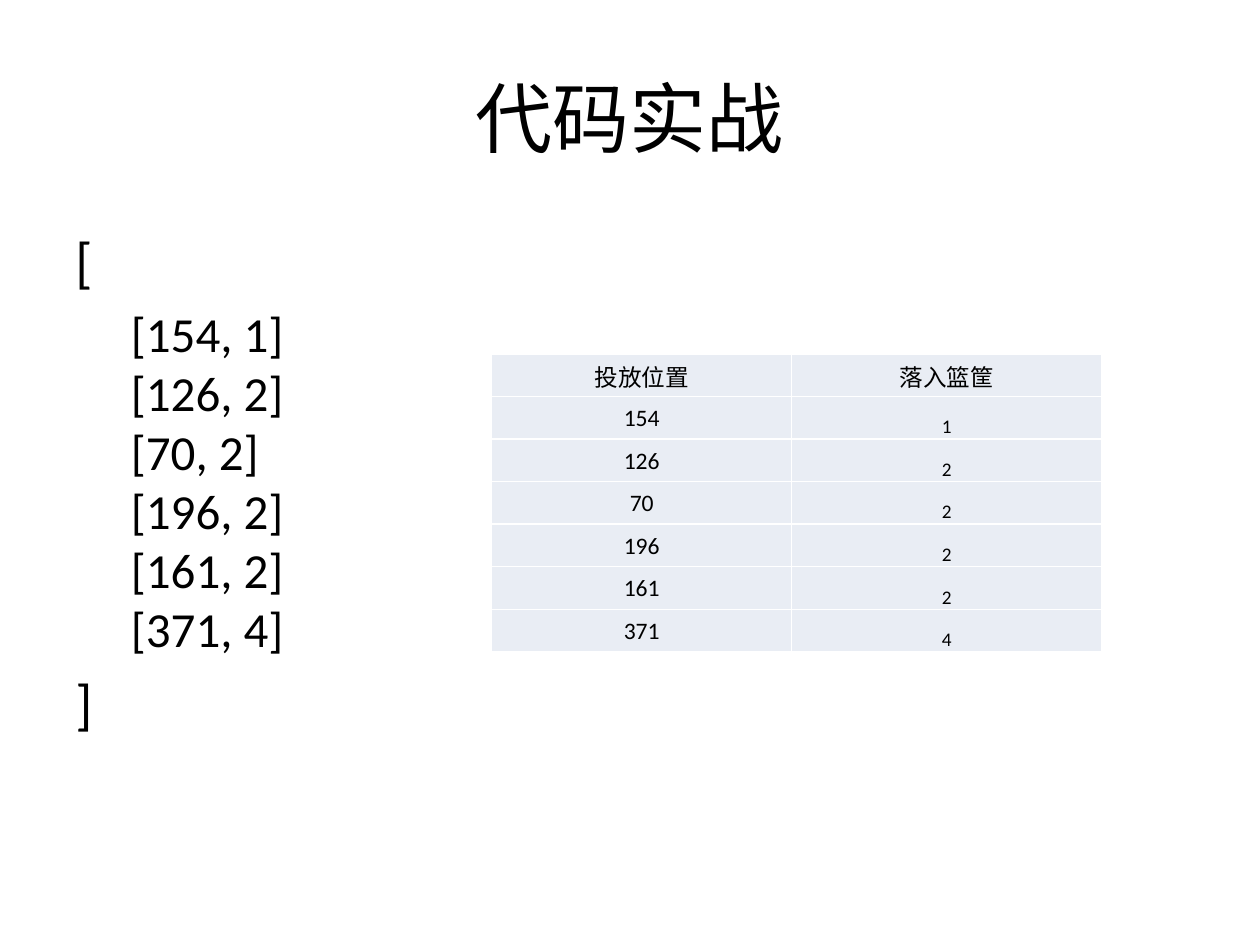
from lxml.etree import SubElement
from pptx import Presentation
from pptx.dml.color import RGBColor
from pptx.enum.text import MSO_ANCHOR, PP_ALIGN
from pptx.oxml.ns import qn
from pptx.util import Cm, Pt

COLORS = {"text": "000000", "cell": "E9EDF4", "border": "FFFFFF"}
FONT = "Calibri"
HEADINGS = ("投放位置", "落入篮筐")
DROPS = [(154, 1), (126, 2), (70, 2), (196, 2), (161, 2), (371, 4)]


def add_run(para, text, size):
    """Add one styled run to a paragraph."""
    span = para.add_run()
    span.text = text
    span.font.size = Pt(size)
    span.font.name = FONT
    span.font.color.rgb = RGBColor.from_string(COLORS["text"])


def add_text_frame(page, left, top, width, height):
    """Add a wrapping text box and return its text frame."""
    box = page.shapes.add_textbox(Cm(left), Cm(top), Cm(width), Cm(height))
    box.text_frame.word_wrap = True
    return box.text_frame


def add_title(page, left, top, width, height):
    """Place the centred slide title."""
    frame = add_text_frame(page, left, top, width, height)
    frame.vertical_anchor = MSO_ANCHOR.MIDDLE
    para = frame.paragraphs[0]
    para.alignment = PP_ALIGN.CENTER
    add_run(para, "代码实战", 44)


def add_listing(page, left, top, width, height):
    """Place the drops as a bracketed list of pairs."""
    frame = add_text_frame(page, left, top, width, height)
    add_run(frame.paragraphs[0], "[", 32)
    pairs = frame.add_paragraph()
    pairs.space_before = Pt(5.6)
    pairs.level = 1
    properties = pairs._p.get_or_add_pPr()
    properties.set("marL", str(Cm(1.12)))
    properties.set("indent", "0")
    for index, (position, basket) in enumerate(DROPS):
        if index:
            pairs.add_line_break()
        add_run(pairs, f"[{position}, {basket}]", 28)
    closing = frame.add_paragraph()
    closing.space_before = Pt(6.4)
    add_run(closing, "]", 32)


def style_cell(cell):
    """Give a cell its borders, fill and narrow margins."""
    properties = cell._tc.get_or_add_tcPr()
    for side in ("a:lnL", "a:lnR", "a:lnT", "a:lnB"):
        line = SubElement(properties, qn(side), w=str(Pt(1)))
        fill = SubElement(line, qn("a:solidFill"))
        SubElement(fill, qn("a:srgbClr"), val=COLORS["border"])
    cell.fill.solid()
    cell.fill.fore_color.rgb = RGBColor.from_string(COLORS["cell"])
    cell.margin_left = cell.margin_right = cell.margin_top = Cm(0.03)
    cell.margin_bottom = 0


def add_drop_table(page, left, top, width, height):
    """Place the table of drop positions and baskets."""
    rows = [HEADINGS, *DROPS]
    table = page.shapes.add_table(
        len(rows), len(HEADINGS), Cm(left), Cm(top), Cm(width), Cm(height)
    ).table
    table.first_row = table.horz_banding = False
    table.columns[0].width = Cm(6.05)
    table.columns[1].width = Cm(width - 6.05)
    for row_index, values in enumerate(rows):
        for column_index, value in enumerate(values):
            cell = table.cell(row_index, column_index)
            style_cell(cell)
            is_basket = row_index > 0 and column_index == 1
            cell.vertical_anchor = MSO_ANCHOR.BOTTOM if is_basket else MSO_ANCHOR.MIDDLE
            para = cell.text_frame.paragraphs[0]
            para.alignment = PP_ALIGN.CENTER
            add_run(para, str(value), 11 if is_basket else 13.5)


def main():
    """Build and save the deck."""
    deck = Presentation()
    deck.slide_width, deck.slide_height = Cm(25.4), Cm(19.05)
    page = deck.slides.add_slide(deck.slide_layouts[6])
    add_title(page, 1.27, 0.76, 22.86, 3.18)
    add_listing(page, 1.27, 4.45, 22.86, 12.57)
    add_drop_table(page, 9.91, 7.14, 12.3, 6)
    deck.save("out.pptx")


if __name__ == "__main__":
    main()
